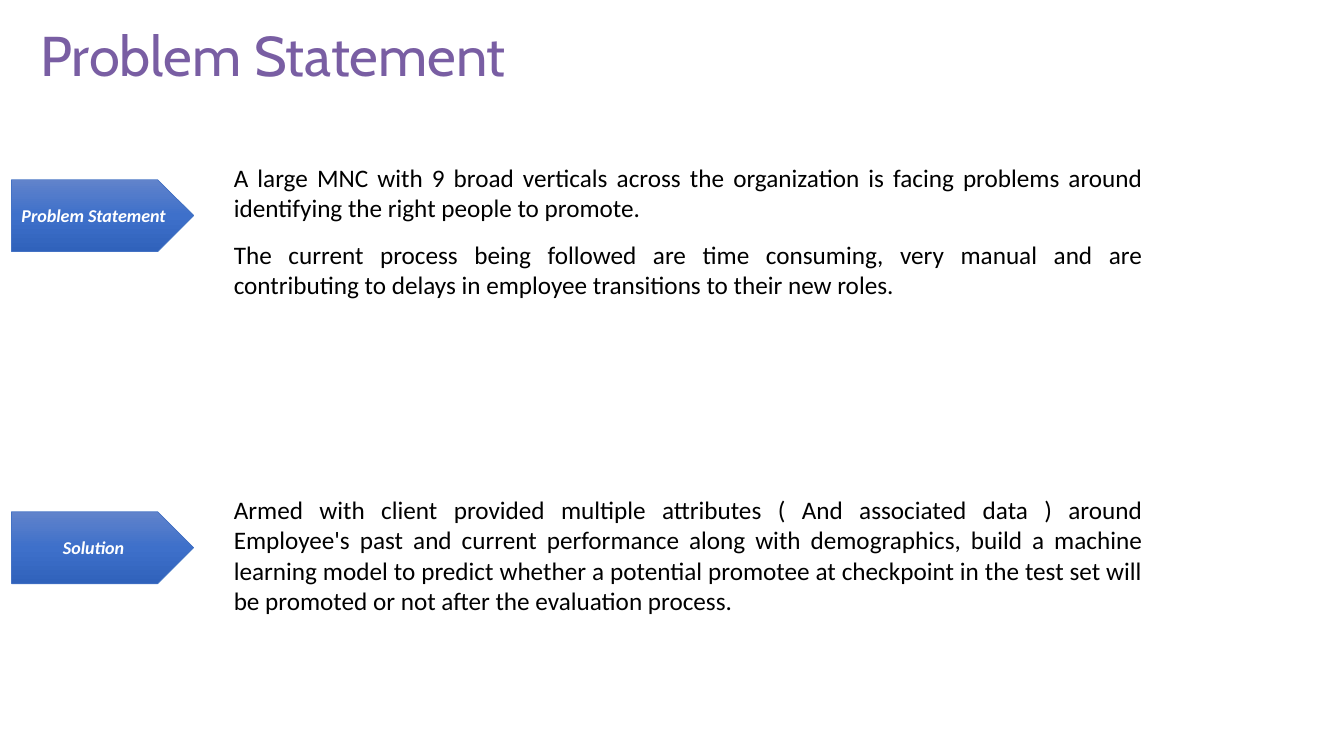
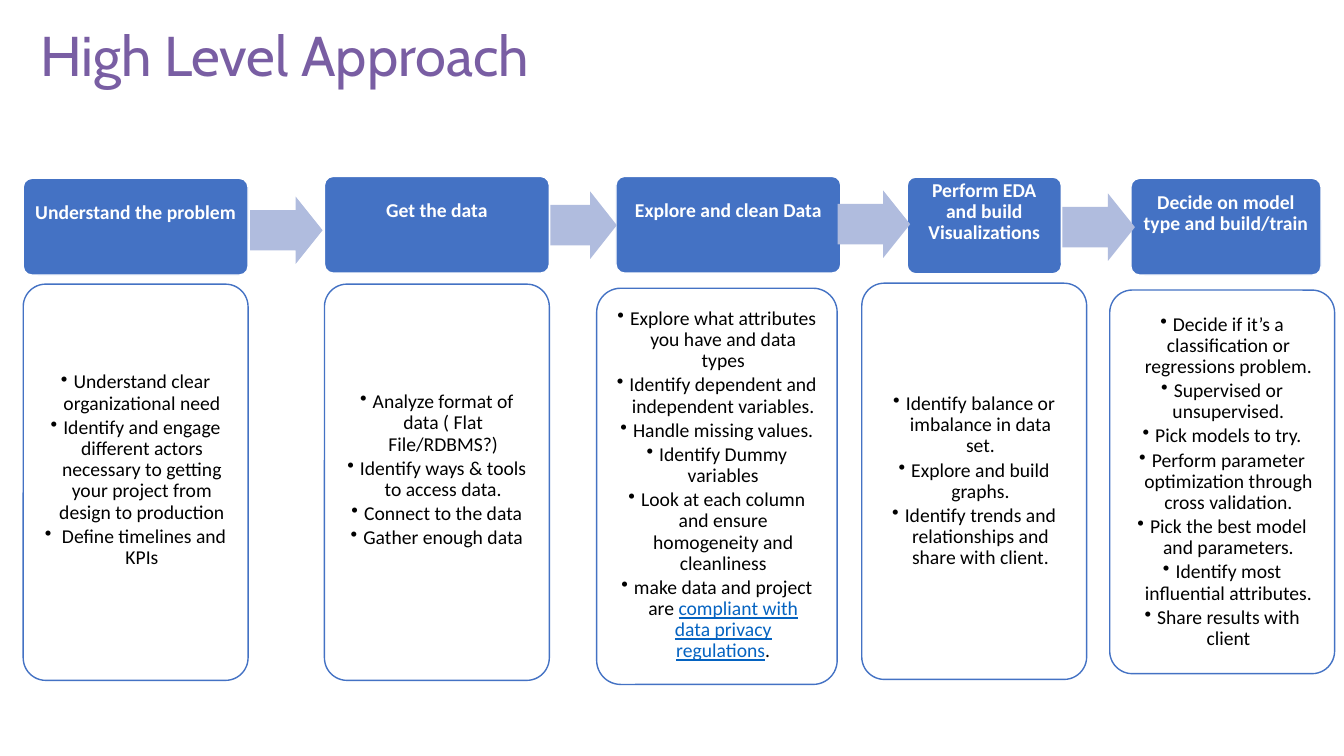
from pptx import Presentation
from pptx.util import Pt
from pptx.dml.color import RGBColor
from pptx.enum.shapes import MSO_SHAPE
from pptx.enum.text import PP_ALIGN, MSO_ANCHOR, MSO_AUTO_SIZE
from pptx.oxml.ns import qn
from lxml import etree
from copy import deepcopy

# Shared look
PLATE, ROUND, ARROW = (MSO_SHAPE.PENTAGON, MSO_SHAPE.ROUNDED_RECTANGLE,
                       MSO_SHAPE.RIGHT_ARROW)
LEFT, CENTER, JUST = PP_ALIGN.LEFT, PP_ALIGN.CENTER, PP_ALIGN.JUSTIFY
TOP, MIDDLE = MSO_ANCHOR.TOP, MSO_ANCHOR.MIDDLE
FIXED = MSO_AUTO_SIZE.NONE
PURPLE = RGBColor(0x79, 0x5E, 0xA3)
BLUE = RGBColor(0x44, 0x72, 0xC4)
PALE = RGBColor(0xB0, 0xBC, 0xDE)
LINK = RGBColor(0x05, 0x63, 0xC1)
WHITE = RGBColor(0xFF, 0xFF, 0xFF)
BLACK = RGBColor(0, 0, 0)
SHADES = (RGBColor(0x61, 0x83, 0xCB), RGBColor(0x3E, 0x70, 0xCA),
          RGBColor(0x30, 0x62, 0xBB))
HEAD, TEXT = "Cabin", "Calibri"
TITLE_BOX = (21.6, 9.4, 780.5, 59)

# Slide 1: label, top, paragraphs
PARTS = [
    ("Problem Statement", 112.3, [
        "A large MNC with 9 broad verticals across the organization is facing "
        "problems around identifying the right people to promote.",
        "The current process being followed are time consuming, very manual and "
        "are contributing to delays in employee transitions to their new roles."]),
    ("Solution", 349.5, [
        "Armed with client provided multiple attributes ( And associated data ) "
        "around Employee's past and current performance along with demographics, "
        "build a machine learning model to predict whether a potential promotee at "
        "checkpoint in the test set will be promoted or not after the evaluation "
        "process."]),
]

# Slide 2: head, head box, card box, anchor, extra room at foot, points
PHRASE = "compliant with data privacy regulations"
STEPS = [
    ("Understand the problem", (16.6, 127.4, 160.6, 69.1),
     (16.6, 203, 160.6, 283), MIDDLE, 17, [
        "Understand clear organizational need",
        "Identify and engage different actors necessary to getting your project "
        "from design to production",
        " Define timelines and KPIs"]),
    ("Get the data", (231.8, 126, 160.6, 69.1),
     (231.8, 203, 160.6, 283), MIDDLE, 17, [
        "Analyze format of data ( Flat File/RDBMS?)",
        "Identify ways & tools to access data.",
        "Connect to the data",
        "Gather enough data"]),
    ("Explore and clean Data", (440, 126, 160.6, 69.1),
     (426.2, 205.9, 171.8, 283), TOP, 0, [
        "Explore what attributes you have and data types",
        "Identify dependent and independent variables.",
        "Handle missing values.",
        "Identify Dummy variables",
        "Look at each column and ensure homogeneity and cleanliness",
        "make data and project are " + PHRASE + "."]),
    ("Perform EDA and build Visualizations", (648, 126.5, 110.2, 69.1),
     (615.6, 202.3, 160.6, 283), MIDDLE, 0, [
        "Identify balance or imbalance in data set.",
        "Explore and build graphs.",
        "Identify trends and relationships and share with client."]),
    ("Decide on model type and build/train", (807.8, 127.4, 135.8, 69.1),
     (792.7, 207.2, 160.6, 274), MIDDLE, 0, [
        "Decide if it’s a classification or regressions problem.",
        "Supervised or unsupervised.",
        "Pick models to try.",
        "Perform parameter optimization through cross validation.",
        "Pick the best model and parameters.",
        "Identify most influential attributes.",
        "Share results with client"]),
]
ARROWS = [(178.6, 140.4, 51.8), (393.1, 136.8, 47.5),
          (598.3, 136.1, 51.8), (758.9, 138.2, 51.8)]


def place(item, box):
    item.left, item.top, item.width, item.height = map(Pt, box)


def style(para, size, color, font=TEXT, align=CENTER, bold=False, italic=False):
    para.alignment = align
    for run in para.runs:
        face = run.font
        face.name, face.size, face.color.rgb = font, Pt(size), color
        face.bold, face.italic = bold, italic


def bullet(para, char=None, indent=0):
    """Set the hanging indent and the bullet, or none."""
    props = para._p.get_or_add_pPr()
    props.set("marL", str(Pt(indent)))
    props.set("indent", str(-Pt(indent)))
    mark = etree.SubElement(props, qn("a:buChar" if char else "a:buNone"))
    if char:
        mark.set("char", char)


def pad(frame, left, top, right, foot, anchor=MIDDLE):
    frame.word_wrap, frame.auto_size = True, FIXED
    frame.vertical_anchor = anchor
    frame.margin_left, frame.margin_top = Pt(left), Pt(top)
    frame.margin_right, frame.margin_bottom = Pt(right), Pt(foot)


def draw(slide, kind, box, fill=None, line=None, width=1, adjust=()):
    shape = slide.shapes.add_shape(kind, *map(Pt, box))
    shape.shadow.inherit = False
    for i, value in enumerate(adjust):
        shape.adjustments[i] = value
    if fill is not None:
        shape.fill.solid()
        shape.fill.fore_color.rgb = fill
    if line is None:
        shape.line.fill.background()
    else:
        shape.line.color.rgb, shape.line.width = line, Pt(width)
    return shape


def shade(shape):
    """Fill from top to bottom with three stops."""
    fill = shape.fill
    fill.gradient()
    fill.gradient_angle = 270
    stops = shape._element.spPr.find(qn("a:gradFill")).find(qn("a:gsLst"))
    stops.insert(1, deepcopy(stops[0]))
    for i, stop in enumerate(fill.gradient_stops):
        stop.color.rgb, stop.position = SHADES[i], i / 2


def start(deck, layout, title):
    slide = deck.slides.add_slide(deck.slide_layouts[layout])
    head = slide.shapes.title
    place(head, TITLE_BOX)
    head.text_frame.text = title
    pad(head.text_frame, 7.2, 3.6, 7.2, 3.6)
    style(head.text_frame.paragraphs[0], 40, PURPLE, HEAD, LEFT)
    return slide


# Label plate with its text at the right
def section(slide, body, label, top, lines):
    tag = draw(slide, PLATE, (8.3, top + 16, 130, 51.4), line=BLUE, width=0.5)
    shade(tag)
    tag.text_frame.text = label
    pad(tag.text_frame, 0, 0, 0, 0)
    style(tag.text_frame.paragraphs[0], 12.9, WHITE, bold=True, italic=True)

    place(body, (159.8, top, 663.8, 106))
    frame = body.text_frame
    frame.text = "\n".join(lines)
    pad(frame, 7.2, 3.6, 7.2, 3.6, TOP)
    for para in frame.paragraphs:
        para.space_before, para.space_after = Pt(0), Pt(12)
        bullet(para)
        style(para, 18, BLACK, align=JUST)


# Head of one step
def header(slide, text, box):
    shape = draw(slide, ROUND, box, BLUE, WHITE, adjust=[0.09])
    shape.text_frame.text = text
    pad(shape.text_frame, 6, 6.8, 6, 25.5)
    para = shape.text_frame.paragraphs[0]
    para.line_spacing, para.space_after = 0.9, Pt(4.9)
    style(para, 14, WHITE, bold=True)


# Card with the points of one step
def card(slide, box, anchor, room, points):
    shape = draw(slide, ROUND, box, WHITE, BLUE, adjust=[0.1])
    frame = shape.text_frame
    frame.text = "\n".join(points)
    pad(frame, 9.4, 9.4, 9.4, 9.4 + room, anchor)
    for para in frame.paragraphs:
        para.line_spacing, para.space_after = 0.9, Pt(2.1)
        bullet(para, "•", 9)
        before, found, after = para.text.partition(PHRASE)
        if found:
            para.runs[0].text = before
            for part in (found, after):
                para.add_run().text = part
        style(para, 14, BLACK)
        if found:
            face = para.runs[1].font
            face.color.rgb, face.underline = LINK, True


def problem(deck):
    slide = start(deck, 3, "Problem Statement")
    bodies = [p for p in slide.placeholders
              if p.placeholder_format.idx in (1, 2)]
    for body, part in zip(bodies, PARTS):
        section(slide, body, *part)


def approach(deck):
    slide = start(deck, 5, "High Level Approach")
    for text, top, box, anchor, room, points in STEPS:
        header(slide, text, top)
        card(slide, box, anchor, room, points)
    for left, top, width in ARROWS:
        draw(slide, ARROW, (left, top, width, 48.2), PALE, adjust=[0.6, 0.4])


def main():
    deck = Presentation()
    deck.slide_width, deck.slide_height = Pt(960), Pt(540)
    problem(deck)
    approach(deck)
    deck.save("out.pptx")


if __name__ == "__main__":
    main()
